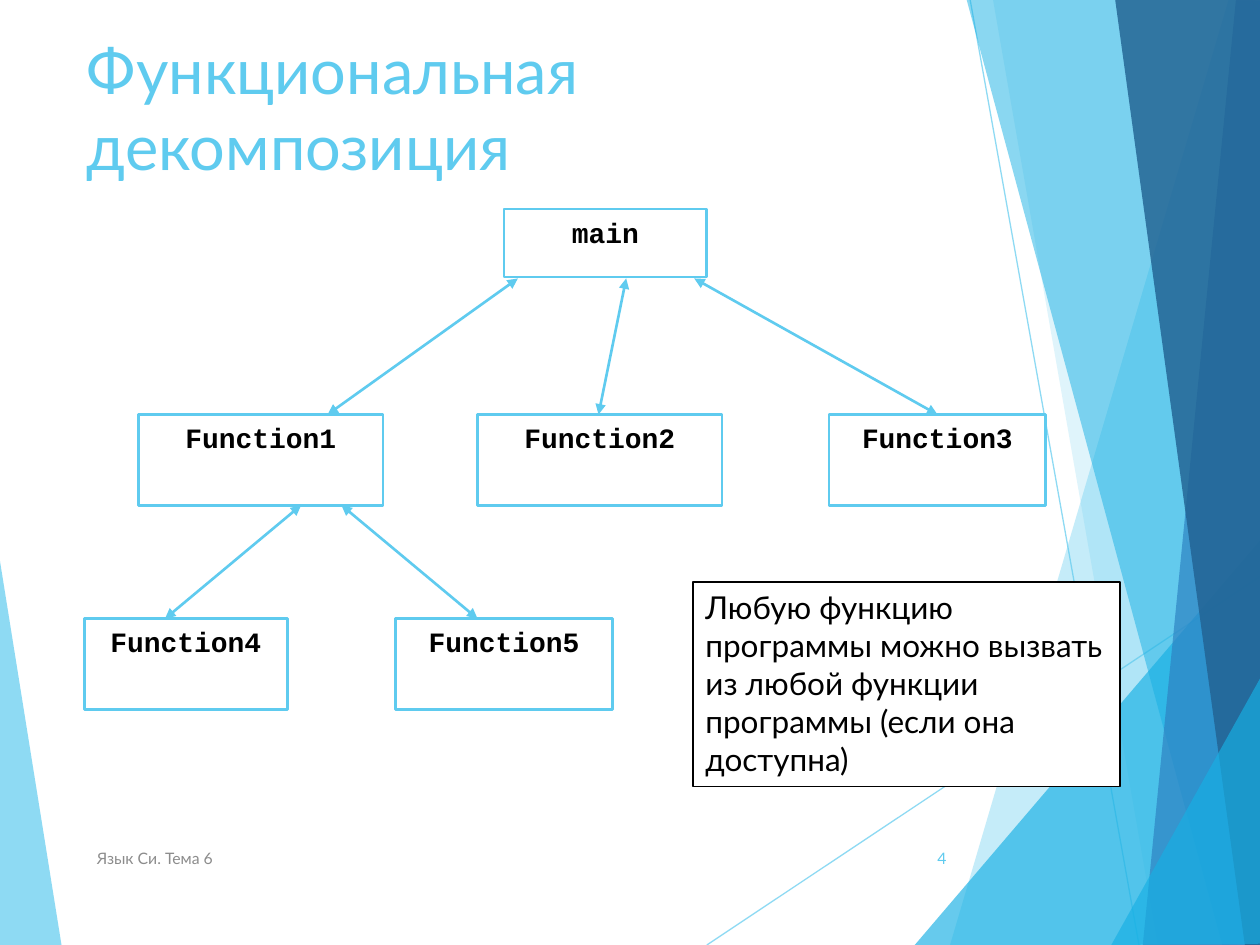
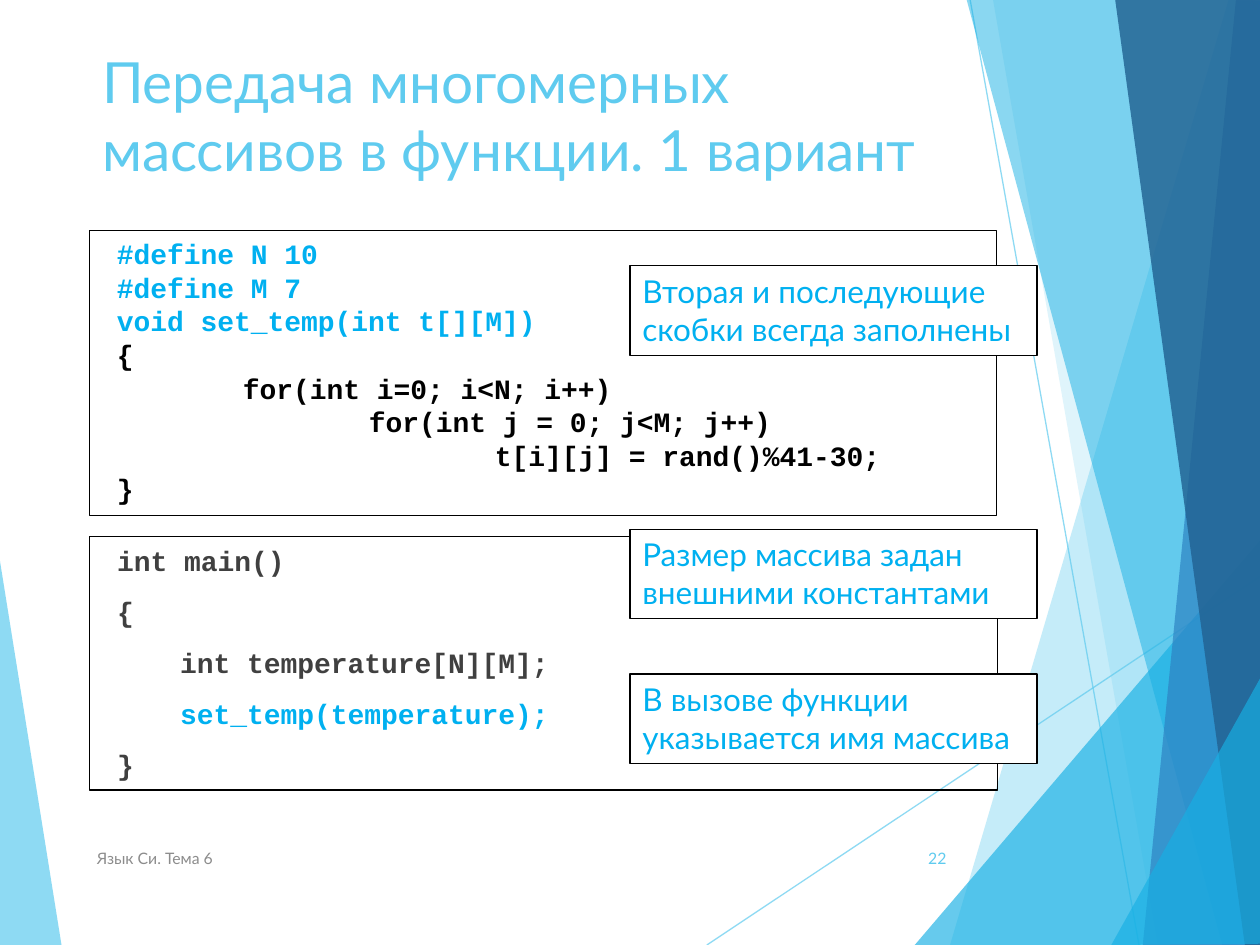
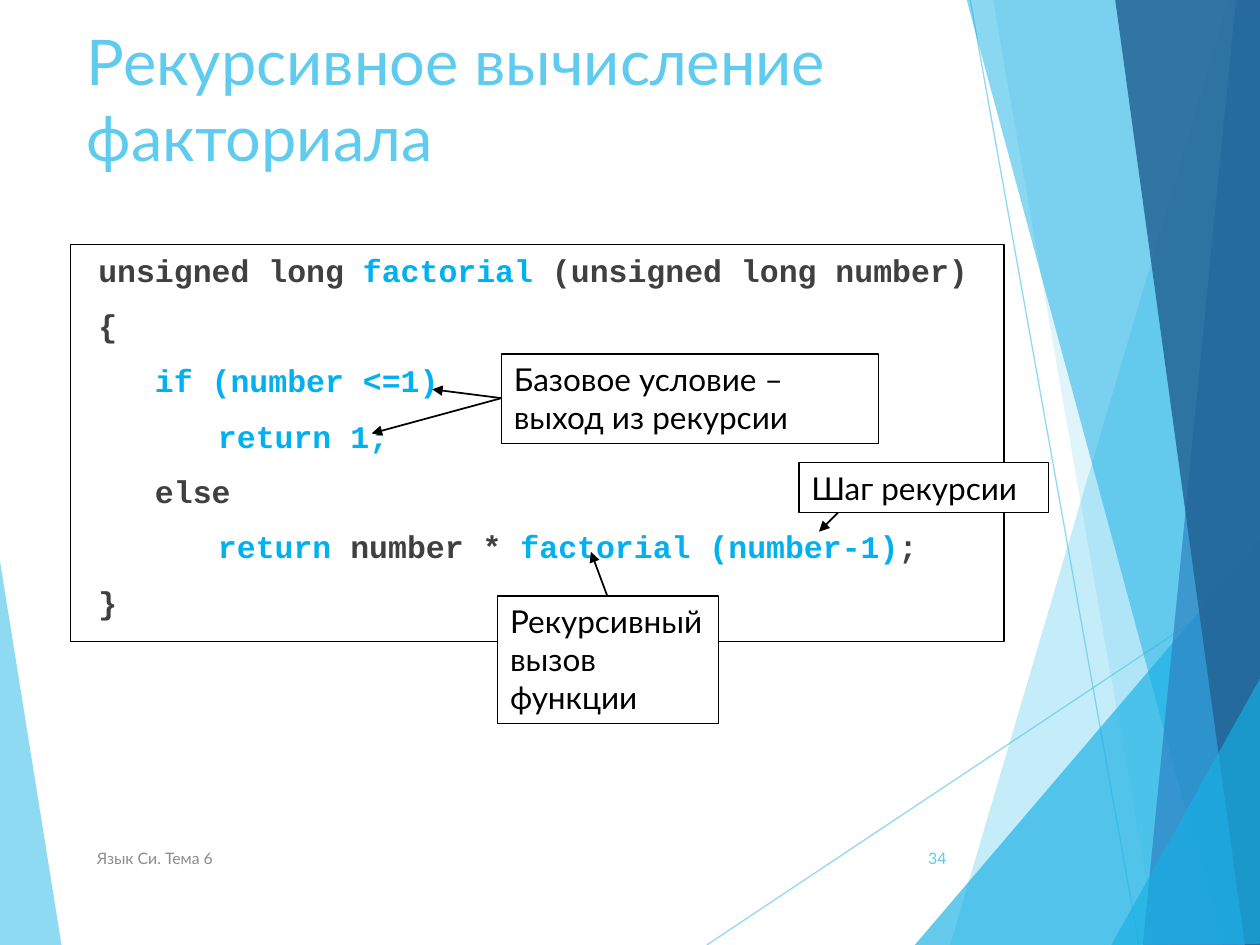
from lxml import etree
from pptx import Presentation
from pptx.dml.color import RGBColor
from pptx.enum import shapes, text
from pptx.oxml import ns
from pptx.util import Inches, Pt

COLOURS = {
    "sky": "5FCBEF",
    "azure": "17B0E4",
    "blue": "2E83C3",
    "navy": "226292",
    "accent": "00B0F0",
    "code": "404040",
    "footer": "8C8C8C",
    "black": "000000",
    "white": "FFFFFF",
}
PROSE, MONO = "Lato", "Courier New"
FOOTER = "Язык Си. Тема 6"
TITLE_ONLY, TITLE_AND_BODY = 5, 1

LEFT_WEDGE = ("sky", 70, [(-0.01, 4.39), (0.49, 7.51), (-0.01, 7.5)])
RAYS = [((5.61, 7.5), (10.01, 4.57)), ((7.7, 0), (9.04, 7.5))]
RIGHT_BANDS = [
    ("sky", 36, [(9.75, 0), (7.54, 7.5), (10.02, 7.51), (10.01, 0.01)]),
    ("sky", 20, [(7.88, -0.01), (9.19, 7.5), (10.01, 7.5), (10.01, -0.01)]),
    ("azure", 66, [(7.26, 7.5), (10, 4.29), (10.01, 7.5)]),
    ("azure", 50, [(7.67, -0.01), (9.7, 7.5), (10.01, 7.49), (10.01, -0.01)]),
    ("blue", 70, [(9.81, -0.01), (9.07, 7.5), (10.01, 7.5), (10, -0.01)]),
    ("navy", 82, [(8.85, -0.01), (9.88, 7.5), (10.02, 7.5), (10, -0.01)]),
    ("azure", 66, [(8.82, 7.5), (10.02, 5.35), (10.02, 7.49)]),
]


def rgb(name):
    return RGBColor.from_string(COLOURS[name])


def set_opacity(shape, percent):
    for colour in shape.element.spPr.iter(ns.qn("a:srgbClr")):
        etree.SubElement(colour, ns.qn("a:alpha"), val=str(percent * 1000))


def place(shape, left, top, width, height):
    shape.left, shape.top = Inches(left), Inches(top)
    shape.width, shape.height = Inches(width), Inches(height)


def write(frame, paragraphs, size=18, font=PROSE, colour="black", bold=False,
          align="LEFT", anchor="TOP", gap=0, indent=None, tab=0.5):
    """Fill a frame; a paragraph is a string or a list of (text, colour) runs."""
    frame.word_wrap = True
    frame.auto_size = text.MSO_AUTO_SIZE.NONE
    frame.vertical_anchor = getattr(text.MSO_ANCHOR, anchor)
    for index, runs in enumerate(paragraphs):
        paragraph = frame.paragraphs[0] if index == 0 else frame.add_paragraph()
        if indent is not None:
            properties = paragraph._p.get_or_add_pPr()
            properties.set("marL", str(Inches(indent)))
            properties.set("indent", "0")
            properties.set("defTabSz", str(Inches(tab)))
            etree.SubElement(properties, ns.qn("a:buNone"))
        paragraph.alignment = getattr(text.PP_ALIGN, align)
        paragraph.space_before = Pt(gap if index else 0)
        for words, run_colour in [(runs, colour)] if isinstance(runs, str) else runs:
            run = paragraph.add_run()
            run.text = words
            run.font.name, run.font.size, run.font.bold = font, Pt(size), bold
            run.font.color.rgb = rgb(run_colour)


def outline(shape, colour="black", width=0.75):
    shape.line.color.rgb = rgb(colour)
    shape.line.width = Pt(width)


def add_band(slide, colour, opacity, points):
    corners = [(Inches(x), Inches(y)) for x, y in points]
    builder = slide.shapes.build_freeform(*corners[0])
    builder.add_line_segments(corners[1:], close=True)
    band = builder.convert_to_shape()
    band.shadow.inherit = False
    band.fill.solid()
    band.fill.fore_color.rgb = rgb(colour)
    band.line.fill.background()
    set_opacity(band, opacity)
    return band


def add_line(slide, start, end, colour="black", width=1, arrows=()):
    """Draw a line; arrows names the arrowed ends: headEnd, tailEnd."""
    line = slide.shapes.add_connector(
        shapes.MSO_CONNECTOR.STRAIGHT, *(Inches(value) for value in (*start, *end)))
    outline(line, colour, width)
    properties = line.element.spPr
    for arrow in arrows:
        etree.SubElement(properties.find(ns.qn("a:ln")), ns.qn(f"a:{arrow}"), type="triangle")
    etree.SubElement(properties, ns.qn("a:effectLst"))
    return line


def add_backdrop(presentation, slide):
    """Draw the bands on a slide, then move them to the master behind everything."""
    parts = [add_band(slide, *LEFT_WEDGE)]
    for start, end in RAYS:
        ray = add_line(slide, start, end, "sky", 0.75)
        set_opacity(ray, 70)
        parts.append(ray)
    parts += [add_band(slide, *band) for band in RIGHT_BANDS]
    tree = presentation.slide_master.element.cSld.spTree
    for index, part in enumerate(parts):
        part.element.xpath(".//p:cNvPr")[0].set("id", str(100 + index))
        tree.insert(2 + index, part.element)


def add_text(slide, box, words, **style):
    shape = slide.shapes.add_textbox(*(Inches(value) for value in box))
    write(shape.text_frame, [words], **style)


def add_box(slide, box, paragraphs, fill="white", line="black", width=0.75, **style):
    shape = slide.shapes.add_shape(
        shapes.MSO_SHAPE.RECTANGLE, *(Inches(value) for value in box))
    shape.shadow.inherit = False
    if fill:
        shape.fill.solid()
        shape.fill.fore_color.rgb = rgb(fill)
    else:
        shape.fill.background()
    outline(shape, line, width)
    write(shape.text_frame, paragraphs, **style)


def add_slide(presentation, layout, title, left, top, number, size=36):
    slide = presentation.slides.add_slide(presentation.slide_layouts[layout])
    place(slide.shapes.title, left, top, 6.94, 1.44)
    write(slide.shapes.title.text_frame, [title], size=size, colour="sky")
    add_text(slide, (0.67, 6.61, 5.06, 0.4), FOOTER, size=9, colour="footer", anchor="MIDDLE")
    add_text(slide, (7.05, 6.61, 0.56, 0.4), str(number), size=9, colour="sky",
             align="RIGHT", anchor="MIDDLE")
    return slide


def fill_code_body(slide, box, lines, size):
    body = slide.placeholders[1]
    place(body, *box)
    outline(body)
    write(body.text_frame, lines, size=size, font=MONO, colour="code", bold=True,
          gap=10, indent=0.12)


def build_decomposition(presentation):
    slide = add_slide(presentation, TITLE_ONLY, "Функциональная декомпозиция", 0.59, 0.2, 4)
    add_backdrop(presentation, slide)
    functions = [
        ("main", 4, 1.66, 1.61, 0.54),
        ("Function1", 1.1, 3.29, 1.94, 0.72),
        ("Function2", 3.79, 3.29, 1.94, 0.72),
        ("Function3", 6.58, 3.29, 1.72, 0.72),
        ("Function4", 0.67, 4.91, 1.61, 0.72),
        ("Function5", 3.14, 4.91, 1.72, 0.72),
    ]
    for name, *box in functions:
        add_box(slide, box, [name], line="sky", width=1.5, size=16, font=MONO,
                bold=True, align="CENTER")
    calls = [
        ((2.6, 3.29), (4.11, 2.21)),
        ((4.75, 3.29), (4.97, 2.21)),
        ((7.44, 3.29), (5.51, 2.21)),
        ((1.31, 4.91), (2.39, 4.01)),
        ((3.79, 4.91), (2.71, 4.01)),
    ]
    for callee, caller in calls:
        add_line(slide, callee, caller, "sky", 1.5, arrows=("headEnd", "tailEnd"))
    add_box(slide, (5.5, 4.62, 3.39, 1.62),
            ["Любую функцию программы можно вызвать из любой функции "
             "программы (если она доступна)"])


def build_array_passing(presentation):
    slide = add_slide(presentation, TITLE_AND_BODY,
                      "Передача многомерных массивов в функции. 1 вариант",
                      0.71, 0.32, 22, size=32.4)
    fill_code_body(slide, (0.71, 4.26, 7.21, 2.01), [
        "int main()",
        "{",
        "\tint temperature[N][M];",
        [("\tset_temp(temperature);", "accent")],
        "}",
    ], size=16)
    add_box(slide, (0.71, 1.83, 7.2, 2.26), [
        [("#define N 10", "accent")],
        [("#define M 7", "accent")],
        [("void set_temp(int t[][M])", "accent")],
        "{",
        "\tfor(int i=0; i<N; i++)",
        "\t\tfor(int j = 0; j<M; j++)",
        "\t\t\tt[i][j] = rand()%41-30;",
        "}",
    ], fill=None, size=16, font=MONO, bold=True, indent=0.12, tab=1)
    notes = [
        (2.11, "Вторая и последующие скобки всегда заполнены"),
        (5.35, "В вызове функции указывается имя массива"),
        (4.2, "Размер массива задан внешними константами"),
    ]
    for top, note in notes:
        add_box(slide, (5, top, 3.23, 0.71), [note], colour="accent")


def build_factorial(presentation):
    slide = add_slide(presentation, TITLE_AND_BODY, "Рекурсивное вычисление факториала",
                      0.59, 0.13, 34)
    fill_code_body(slide, (0.56, 1.94, 7.41, 3.15), [
        [("unsigned long ", "code"), ("factorial ", "accent"),
         ("(unsigned long number)", "code")],
        "{",
        [("   if (number <=1)", "accent")],
        [("\t   return 1;", "accent")],
        "   else",
        [("\t   return ", "accent"), ("number * ", "code"),
         ("factorial (number-1)", "accent"), (";", "code")],
        "}",
    ], size=18)
    add_box(slide, (3.98, 2.81, 2.99, 0.71), ["Базовое условие – выход из рекурсии"], fill=None)
    add_box(slide, (3.95, 4.73, 1.75, 1.01), ["Рекурсивный вызов функции"])
    add_box(slide, (6.34, 3.67, 1.98, 0.4), ["Шаг рекурсии"])
    pointers = [
        ((3.98, 3.16), (3.43, 3.09)),
        ((3.98, 3.16), (2.95, 3.44)),
        ((4.82, 4.73), (4.69, 4.38)),
        ((6.65, 4.07), (6.5, 4.22)),
    ]
    for note, target in pointers:
        add_line(slide, note, target, arrows=("tailEnd",))


def main():
    presentation = Presentation()
    presentation.slide_width, presentation.slide_height = Inches(10), Inches(7.5)
    build_decomposition(presentation)
    build_array_passing(presentation)
    build_factorial(presentation)
    presentation.save("out.pptx")


if __name__ == "__main__":
    main()
